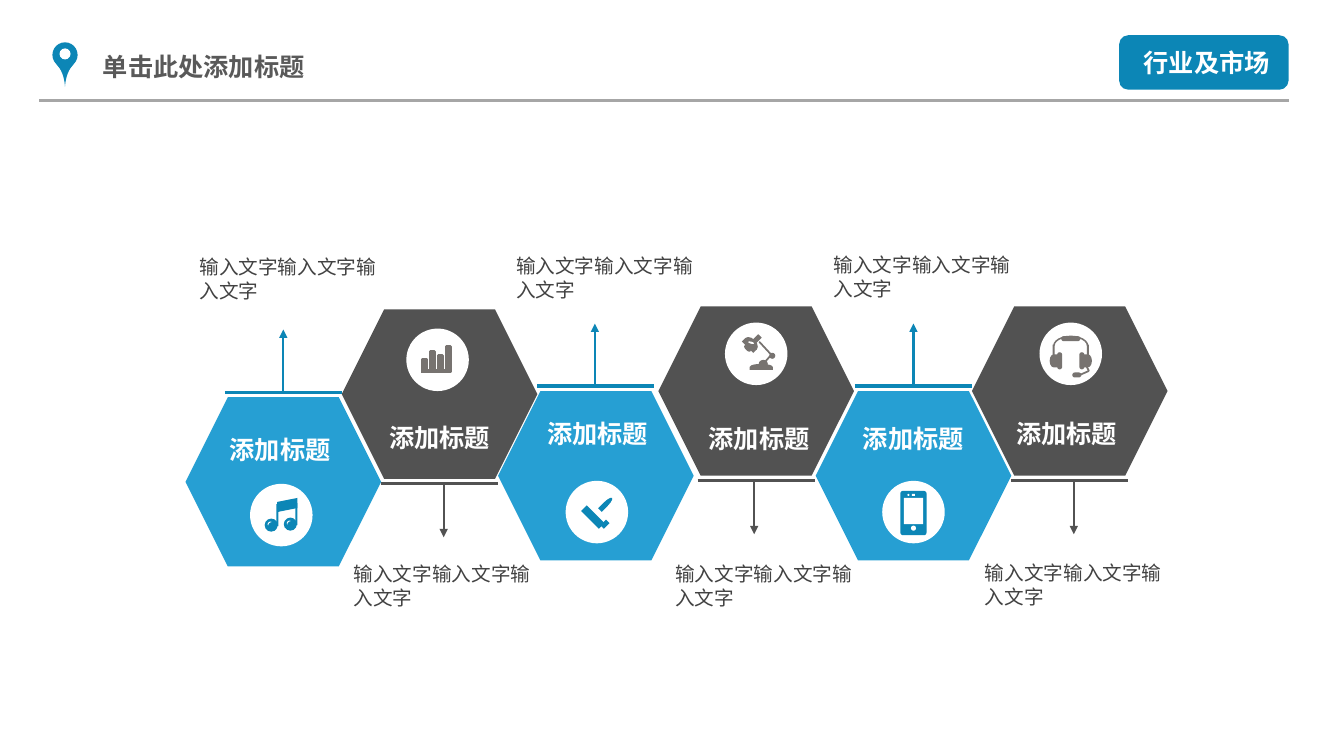
from pptx import Presentation
from pptx.dml.color import RGBColor
from pptx.enum.shapes import MSO_CONNECTOR, MSO_SHAPE
from pptx.enum.text import MSO_ANCHOR, MSO_AUTO_SIZE, PP_ALIGN
from pptx.oxml.ns import qn
from pptx.util import Inches, Pt
from lxml import etree

STRAIGHT = MSO_CONNECTOR.STRAIGHT
HEXAGON, OVAL, TEAR, MOON = MSO_SHAPE.HEXAGON, MSO_SHAPE.OVAL, MSO_SHAPE.TEAR, MSO_SHAPE.MOON
RECT, ROUNDED = MSO_SHAPE.RECTANGLE, MSO_SHAPE.ROUNDED_RECTANGLE
HALF_ROUND, BAND = MSO_SHAPE.FLOWCHART_DELAY, MSO_SHAPE.BLOCK_ARC
TOP, MIDDLE = MSO_ANCHOR.TOP, MSO_ANCHOR.MIDDLE
LEFT, CENTER = PP_ALIGN.LEFT, PP_ALIGN.CENTER
NO_AUTOFIT = MSO_AUTO_SIZE.NONE

FONT = "Noto Sans CJK SC"
WHITE = RGBColor(0xFF, 0xFF, 0xFF)
DEEP_BLUE = RGBColor(0x0C, 0x86, 0xB6)
BLUE = RGBColor(0x26, 0x9F, 0xD3)
DARK = RGBColor(0x52, 0x52, 0x52)
ICON_GRAY = RGBColor(0x77, 0x73, 0x70)
RULE_GRAY = RGBColor(0xA6, 0xA6, 0xA6)
TITLE_GRAY = RGBColor(0x59, 0x59, 0x59)
CAPTION_GRAY = RGBColor(0x42, 0x42, 0x42)

HEX_WIDTH, HEX_HEIGHT = 1.94, 1.68
DISC_SIZE = 0.62
BAR_INSET, BAR_WIDTH, BAR_GAP = 0.39, 1.16, 0.05

prs = Presentation()
prs.slide_width, prs.slide_height = Inches(13.33), Inches(7.5)
slide = prs.slides.add_slide(prs.slide_layouts[5])
shapes = slide.shapes


def paint(shape, color):
    shape.shadow.inherit = False
    shape.fill.solid()
    shape.fill.fore_color.rgb = color
    shape.line.fill.background()


def write(shape, text, size, color, bold=False, wrap=True, anchor=TOP, align=LEFT):
    frame = shape.text_frame
    frame.text = text
    frame.word_wrap = wrap
    frame.auto_size = NO_AUTOFIT
    frame.vertical_anchor = anchor
    frame.paragraphs[0].alignment = align
    font = frame.paragraphs[0].runs[0].font
    font.name, font.size, font.bold = FONT, Pt(size), bold
    font.color.rgb = color
    east_asian = etree.SubElement(font._element, qn("a:ea"))
    east_asian.set("typeface", FONT)


# Header: title, badge and map pin
title = shapes.title
title.left, title.top = Inches(0.92), Inches(0.46)
title.width, title.height = Inches(2.36), Inches(0.4)
write(title, "单击此处添加标题", 18, TITLE_GRAY, bold=True)
badge = shapes.add_shape(ROUNDED, Inches(11.1), Inches(0.35), Inches(1.68), Inches(0.54))
paint(badge, DEEP_BLUE)
write(badge, " 行业及市场", 18, WHITE, bold=True, anchor=MIDDLE, align=CENTER)
pin = shapes.add_shape(TEAR, Inches(0.52), Inches(0.42), Inches(0.25), Inches(0.25))
pin.adjustments[0] = 1.78  # length of the tip
pin.rotation = 135
paint(pin, DEEP_BLUE)
pin_hole = shapes.add_shape(OVAL, Inches(0.59), Inches(0.48), Inches(0.11), Inches(0.11))
paint(pin_hole, WHITE)

# Every line: x1, y1, x2, y2, colour, width, arrowhead
lines = [(0.39, 1, 12.78, 1, RULE_GRAY, 2.25, False)]

# Six steps: icon, then left and top of hexagon, disc, label and caption, then arrow x
steps = [
    ("music", (1.84, 3.94), (2.48, 4.8), (2.18, 4.26), (1.88, 2.48), 2.81),
    ("chart", (3.39, 3.07), (4.03, 3.26), (3.76, 4.14), (3.41, 5.53), 4.4),
    ("knife", (4.94, 3.88), (5.61, 4.77), (5.33, 4.1), (5.02, 2.47), 5.9),
    ("lamp", (6.53, 3.04), (7.19, 3.2), (6.93, 4.15), (6.6, 5.53), 7.48),
    ("phone", (8.09, 3.88), (8.75, 4.77), (8.46, 4.15), (8.17, 2.46), 9.06),
    ("headset", (9.64, 3.04), (10.31, 3.2), (9.98, 4.1), (9.67, 5.52), 10.65),
]
icon_centers = {}
for index, (icon, hexagon_at, disc_at, label_at, caption_at, arrow_x) in enumerate(steps):
    hex_left, hex_top = hexagon_at
    # Even steps point up, odd steps point down
    if index % 2 == 0:
        hex_color, line_color = BLUE, DEEP_BLUE
        bar_y, arrow_reach = hex_top - BAR_GAP, -0.62
    else:
        hex_color, line_color = DARK, DARK
        bar_y, arrow_reach = hex_top + HEX_HEIGHT + BAR_GAP, 0.53
    hexagon = shapes.add_shape(HEXAGON, *map(Inches, (*hexagon_at, HEX_WIDTH, HEX_HEIGHT)))
    paint(hexagon, hex_color)
    disc = shapes.add_shape(OVAL, *map(Inches, (*disc_at, DISC_SIZE, DISC_SIZE)))
    paint(disc, WHITE)
    icon_centers[icon] = [edge + DISC_SIZE / 2 for edge in disc_at]
    label = shapes.add_textbox(*map(Inches, (*label_at, 1.21, 0.4)))
    write(label, "添加标题", 18, WHITE, bold=True, wrap=False)
    caption = shapes.add_textbox(*map(Inches, (*caption_at, 2.06, 0.57)))
    write(caption, "输入文字输入文字输入文字", 14, CAPTION_GRAY)
    bar_left = hex_left + BAR_INSET
    lines.append((bar_left, bar_y, bar_left + BAR_WIDTH, bar_y, line_color, 2.25, False))
    lines.append((arrow_x, bar_y, arrow_x, bar_y + arrow_reach, line_color, 1.5, True))

# Icon parts, placed from the disc centre:
# kind, centre dx, centre dy, width, height, rotation, colour
icon_parts = {
    "music": [],
    "knife": [
        (RECT, -0.04, 0.05, 0.25, 0.08, 45, DEEP_BLUE),      # handle
        (RECT, 0.08, 0.12, 0.08, 0.05, -45, DEEP_BLUE),      # end of handle
        (HALF_ROUND, 0.09, -0.08, 0.17, 0.05, -45, DEEP_BLUE),  # blade
    ],
    "lamp": [
        (HALF_ROUND, -0.05, -0.1, 0.1, 0.16, -45, ICON_GRAY),  # shade
        (ROUNDED, 0.01, -0.15, 0.08, 0.05, -45, ICON_GRAY),    # neck
        (OVAL, -0.05, -0.11, 0.06, 0.02, 15, WHITE),           # gleam
        (HALF_ROUND, -0.09, -0.05, 0.03, 0.08, 135, ICON_GRAY),  # bulb
        (OVAL, 0.16, 0.02, 0.06, 0.06, 0, ICON_GRAY),          # joint
        (OVAL, 0.07, 0.1, 0.09, 0.08, 0, ICON_GRAY),           # foot
        (HALF_ROUND, 0.05, 0.13, 0.06, 0.23, -90, ICON_GRAY),  # base
    ],
    "phone": [
        (ROUNDED, 0, 0.01, 0.26, 0.44, 0, DEEP_BLUE),  # body
        (RECT, 0, -0.01, 0.19, 0.26, 0, WHITE),        # screen
        (OVAL, 0, 0.16, 0.05, 0.05, 0, WHITE),         # button
        (ROUNDED, 0, -0.17, 0.03, 0.02, 0, WHITE),     # speaker
        (OVAL, -0.05, -0.17, 0.02, 0.02, 0, WHITE),    # camera
    ],
    "headset": [
        (BAND, 0, -0.08, 0.35, 0.2, 0, ICON_GRAY),       # band
        (ROUNDED, 0, -0.15, 0.19, 0.05, 0, ICON_GRAY),   # pad
        (ROUNDED, 0.06, 0.21, 0.09, 0.05, 0, ICON_GRAY),  # microphone
    ],
}
# The two notes differ only in place
for dx, dy in [(-0.1, 0.1), (0.09, 0.09)]:
    icon_parts["music"] += [
        (OVAL, dx, dy, 0.13, 0.13, 0, DEEP_BLUE),                   # head
        (RECT, dx + 0.06, dy - 0.1, 0.02, 0.22, 0, DEEP_BLUE),      # stem
        (MOON, dx - 0.02, dy - 0.02, 0.02, 0.05, 45, WHITE),        # gleam
    ]
# The two ears mirror each other
for side, turn in [(-1, 180), (1, 0)]:
    icon_parts["headset"] += [
        (RECT, side * 0.17, -0.03, 0.02, 0.12, 0, ICON_GRAY),           # side of band
        (ROUNDED, side * 0.11, 0.07, 0.05, 0.17, 0, ICON_GRAY),         # cushion
        (HALF_ROUND, side * 0.17, 0.07, 0.08, 0.13, turn, ICON_GRAY),   # cup
    ]
for icon, parts in icon_parts.items():
    center_x, center_y = icon_centers[icon]
    for kind, dx, dy, width, height, rotation, color in parts:
        left, top = center_x + dx - width / 2, center_y + dy - height / 2
        part = shapes.add_shape(kind, *map(Inches, (left, top, width, height)))
        part.rotation = rotation
        paint(part, color)
        if kind == ROUNDED:
            part.adjustments[0] = 0.5 if icon == "headset" else 0.1
        elif kind == BAND:
            part.adjustments[2] = 0.08  # thickness

# Slanted beam of the music notes
music_x, music_y = icon_centers["music"]
beam_left, beam_right = music_x - 0.04, music_x + 0.16
beam = shapes.build_freeform(Inches(beam_left), Inches(music_y - 0.13))
beam_corners = [(beam_right, -0.17), (beam_right, -0.07), (beam_left, -0.03)]
beam.add_line_segments([(Inches(x), Inches(music_y + dy)) for x, dy in beam_corners])
paint(beam.convert_to_shape(), DEEP_BLUE)

# Columns of the chart icon stand on one baseline
chart_x, chart_y = icon_centers["chart"]
baseline = chart_y + 0.11
for step, height in enumerate([0.11, 0.19, 0.15, 0.24]):
    left = chart_x - 0.15 + step * 0.08
    column = shapes.add_shape(RECT, *map(Inches, (left, baseline - height, 0.04, height)))
    paint(column, ICON_GRAY)
    column.line.color.rgb = ICON_GRAY
    column.line.width = Pt(2.38)
lines.append((chart_x - 0.16, baseline, chart_x + 0.13, baseline, ICON_GRAY, 2.38, False))

# Lamp arm and microphone arm run from joint to joint
arms = {"lamp": [(0.03, -0.12), (0.15, 0.01), (0.07, 0.1)],
        "headset": [(0.16, 0.13), (0.18, 0.17), (0.09, 0.21)]}
for icon, joints in arms.items():
    center_x, center_y = icon_centers[icon]
    for (dx1, dy1), (dx2, dy2) in zip(joints, joints[1:]):
        lines.append((center_x + dx1, center_y + dy1, center_x + dx2, center_y + dy2,
                      ICON_GRAY, 1.25, False))

# Draw all lines
for x1, y1, x2, y2, color, width, has_head in lines:
    line = shapes.add_connector(STRAIGHT, *map(Inches, (x1, y1, x2, y2)))
    line.line.color.rgb = color
    line.line.width = Pt(width)
    if has_head:
        etree.SubElement(line.line._get_or_add_ln(), qn("a:tailEnd")).set("type", "triangle")
    etree.SubElement(line._element.spPr, qn("a:effectLst"))

prs.save("out.pptx")
